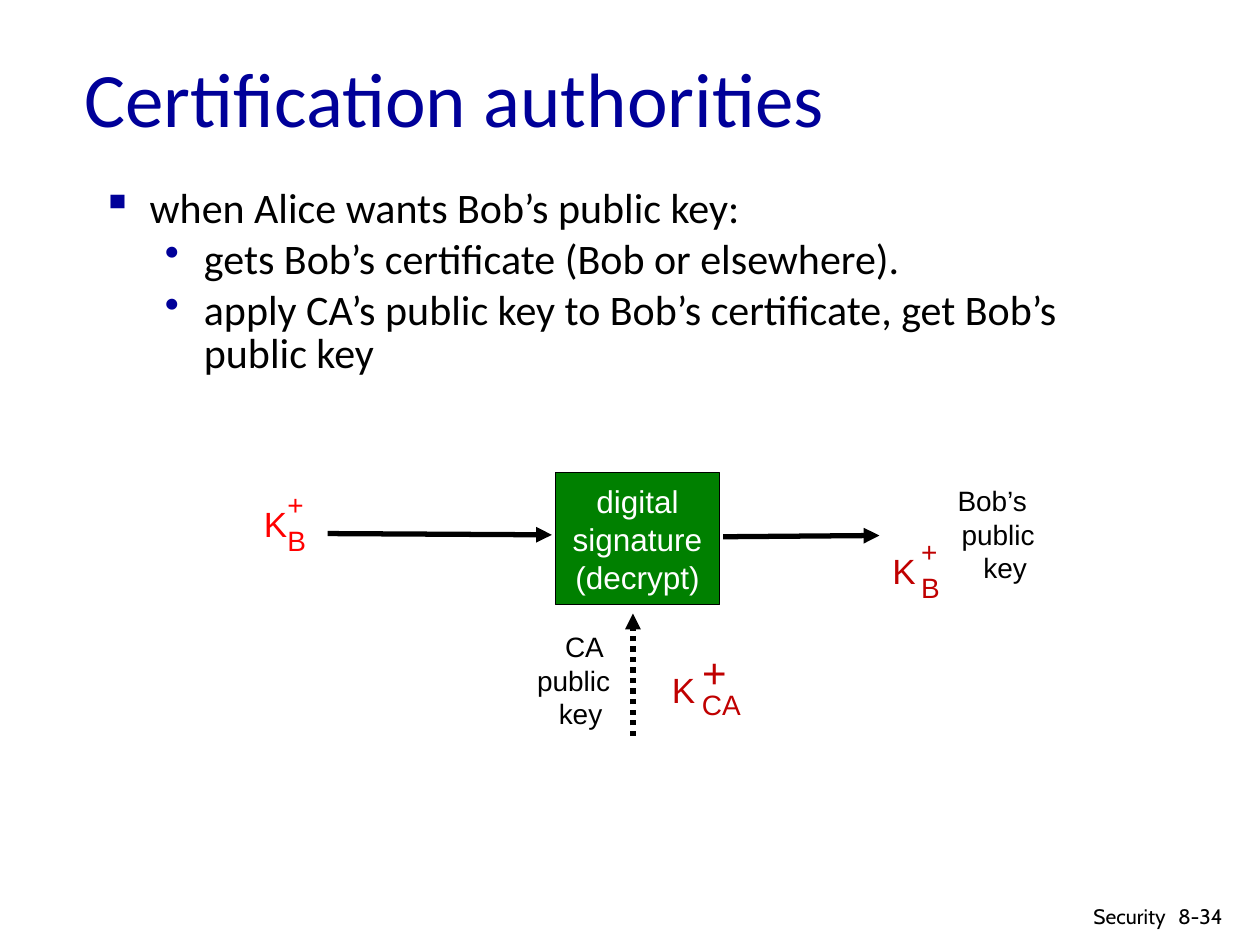
from dataclasses import dataclass

from pptx import Presentation
from pptx.dml.color import RGBColor as RGB
from pptx.enum.dml import MSO_LINE as Dash
from pptx.enum.shapes import MSO_CONNECTOR as Conn, MSO_SHAPE as Geom
from pptx.enum.text import MSO_ANCHOR as Anchor, MSO_AUTO_SIZE as Auto, PP_ALIGN as Align
from pptx.oxml.ns import qn
from pptx.oxml.xmlchemy import OxmlElement as Node
from pptx.util import Inches, Pt

COLS, ROWS = 100, 75  # grid over the whole slide
WIDE, HIGH = Inches(10), Inches(7.5)


@dataclass(frozen=True)
class Theme:
    navy: str = "000099"
    black: str = "000000"
    white: str = "FFFFFF"
    green: str = "008000"
    red: str = "FF0000"
    brick: str = "C00000"
    head: str = "Calibri"
    face: str = "Arial"
    foot: str = "Cabin"
    title: int = 44
    body: int = 24
    key: int = 20
    step: int = 18
    note: int = 16
    small: int = 12


T = Theme()


def grid(box):
    """Turn columns and rows into slide lengths."""
    return [int(n * (HIGH / ROWS if i % 2 else WIDE / COLS))
            for i, n in enumerate(box)]


def style(obj, **vals):
    for name, val in vals.items():
        setattr(obj, name, val)


def write(frame, lines, size, color, face=T.face, align=Align.LEFT):
    for i, line in enumerate(lines):
        para = frame.paragraphs[0] if i == 0 else frame.add_paragraph()
        para.alignment = align
        run = para.add_run()
        run.text = line
        style(run.font, size=Pt(size), name=face)
        run.font.color.rgb = RGB.from_string(color)


def label(slide, box, lines, size, color, wrap=True, **kind):
    text = slide.shapes.add_textbox(*grid(box))
    style(text.text_frame, word_wrap=wrap, auto_size=Auto.NONE)
    write(text.text_frame, lines, size, color, **kind)
    return text


def bullet(para, mark, left, hang):
    props = para._p.get_or_add_pPr()
    props.set("marL", str(Inches(left)))
    props.set("indent", str(-Inches(hang)))
    tint = Node("a:buClr")
    shade = Node("a:srgbClr")
    shade.set("val", T.navy)
    tint.append(shade)
    char = Node("a:buChar")
    char.set("char", mark)
    props.extend([tint, char])


def title(slide, box):
    head = slide.shapes.title
    style(head, **dict(zip(("left", "top", "width", "height"), grid(box))))
    style(head.text_frame, vertical_anchor=Anchor.MIDDLE, auto_size=Auto.NONE,
          word_wrap=True)
    write(head.text_frame, ["Certification authorities"], T.title, T.navy, T.head)


def body(slide, box):
    items = [
        (0, "when Alice wants Bob’s public key:"),
        (1, "gets Bob’s certificate (Bob or elsewhere)."),
        (1, "apply CA’s public key to Bob’s certificate, get Bob’s public key"),
    ]
    marks = [("▪", 0.38, 0.38), ("•", 0.81, 0.31)]
    text = label(slide, box, [line for _, line in items], T.body, T.black, face=T.head)
    for i, (level, _) in enumerate(items):
        para = text.text_frame.paragraphs[i]
        style(para, level=level, line_spacing=0.85,
              space_before=Pt(0.2 * T.body if i else 0))
        bullet(para, *marks[level])


def key(slide, box, sub, color, plus=T.note):
    """K with a raised plus and a lowered owner; box is left, top, shift, lift, drop, width."""
    x, y, shift, lift, drop, width = box
    tall = plus > T.note
    parts = [
        ((x, y + lift, 4.7, 4.4), "K ", T.key),
        ((x + shift, y + lift + drop, width, 3.7), sub, T.note),
        ((x + shift, y, 4 if tall else 3.3, 5.1 if tall else 3.7), "+", plus),
    ]
    for place, word, size in parts:
        label(slide, place, [word], size, color, wrap=False, align=Align.CENTER)


def arrow(slide, ends, dash=None):
    link = slide.shapes.add_connector(Conn.STRAIGHT, *grid(ends))
    style(link.line, width=Pt(3), dash_style=dash)
    link.line.color.rgb = RGB.from_string(T.black)
    props = link._element.spPr
    tip = Node("a:tailEnd")
    tip.set("type", "triangle")
    props.find(qn("a:ln")).append(tip)
    props.append(Node("a:effectLst"))


def step(slide, box):
    rect = slide.shapes.add_shape(Geom.RECTANGLE, *grid(box))
    rect.shadow.inherit = False
    rect.fill.solid()
    rect.fill.fore_color.rgb = RGB.from_string(T.green)
    rect.line.color.rgb = RGB.from_string(T.black)
    rect.line.width = Pt(0.75)
    style(rect.text_frame, word_wrap=False, vertical_anchor=Anchor.MIDDLE)
    write(rect.text_frame, ["digital", "signature", "(decrypt)"], T.step, T.white,
          align=Align.CENTER)


def flow(slide, box):
    x, y, w, h = box
    mid = x + w * 0.48
    # Signature step and the two captions
    step(slide, (x + 24.2, y, 13, 10.5))
    for left, top, owner in [(52.7, 0.4, "Bob’s "), (19, 12, "CA ")]:
        label(slide, (x + left, y + top, 10.5, 9), [owner, "public", "key "],
              T.note, T.black, align=Align.RIGHT)
    # Keys: in, out and from the authority
    key(slide, (x, y + 0.7, 1.9, 1.2, 1.7, 3.5), "B", T.red)
    key(slide, (x + 49.9, y + 4.4, 2.3, 1.2, 1.7, 3.5), "B", T.brick)
    key(slide, (x + 32.4, y + 13.3, 2.4, 1.8, 1.5, 5.1), "CA", T.brick, T.body)
    # Arrows into and out of the step
    arrow(slide, (x + 6.1, y + 4.85, x + 23.9, y + 4.95))
    arrow(slide, (x + 37.5, y + 5.1, x + 49.9, y + 5))
    arrow(slide, (mid, y + h, mid, y + 11.2), Dash.ROUND_DOT)


def footer(slide, box):
    x, y, w, h = box
    label(slide, (x, y, w * 0.55, h), ["Security"], T.small, T.black,
          face=T.foot, align=Align.RIGHT)
    label(slide, (x + w * 0.48, y, w * 0.52, h), ["8-34"], T.small, T.black, face=T.foot)


def main():
    deck = Presentation()
    style(deck, slide_width=WIDE, slide_height=HIGH)
    slide = deck.slides.add_slide(deck.slide_layouts[5])
    title(slide, (5.7, 1.4, 68.9, 12.5))
    body(slide, (7.1, 14.5, 84.5, 50.8))
    flow(slide, (19.9, 37.5, 63.2, 20.9))
    footer(slide, (85.6, 71.2, 14.4, 3))
    deck.save("out.pptx")


if __name__ == "__main__":
    main()
